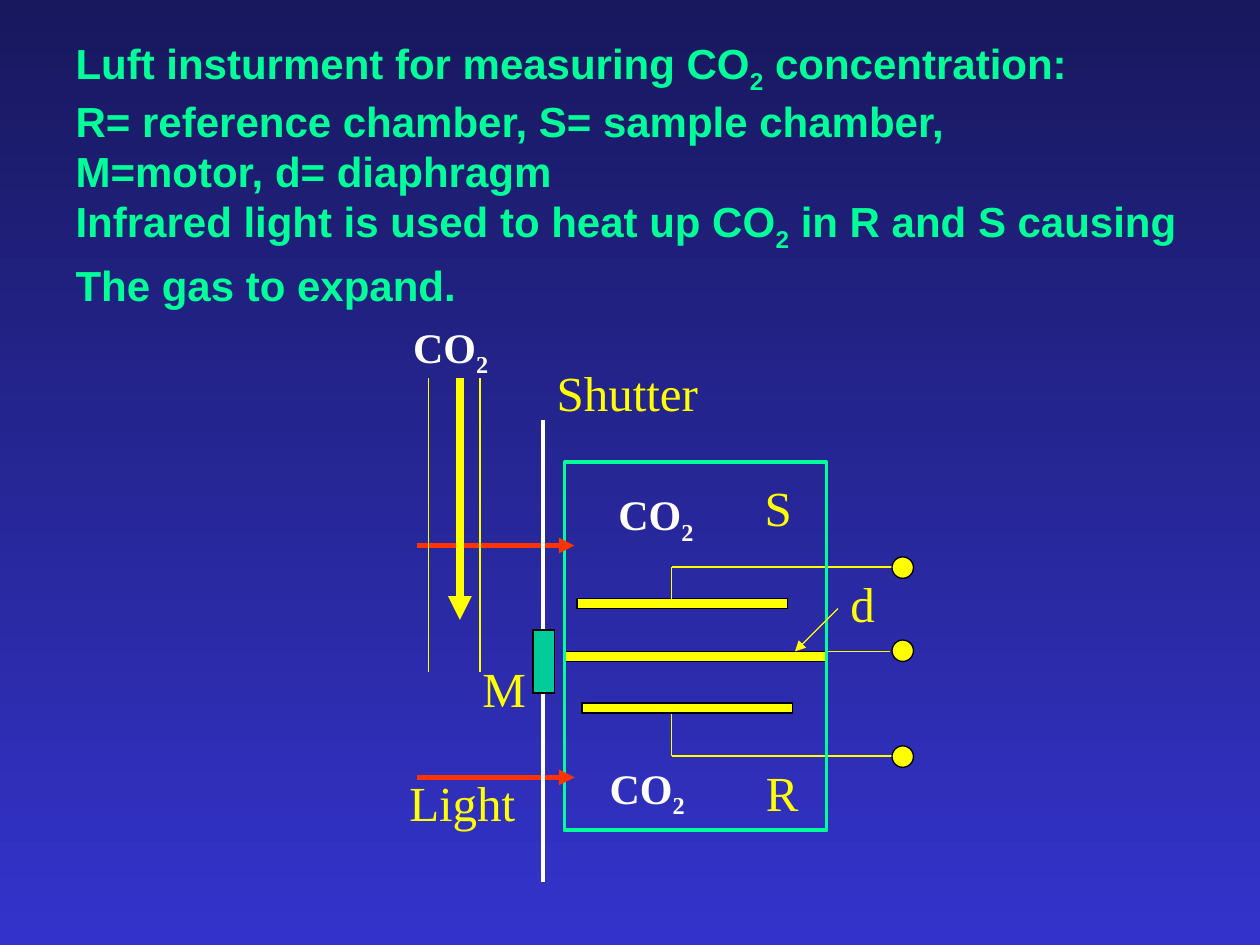
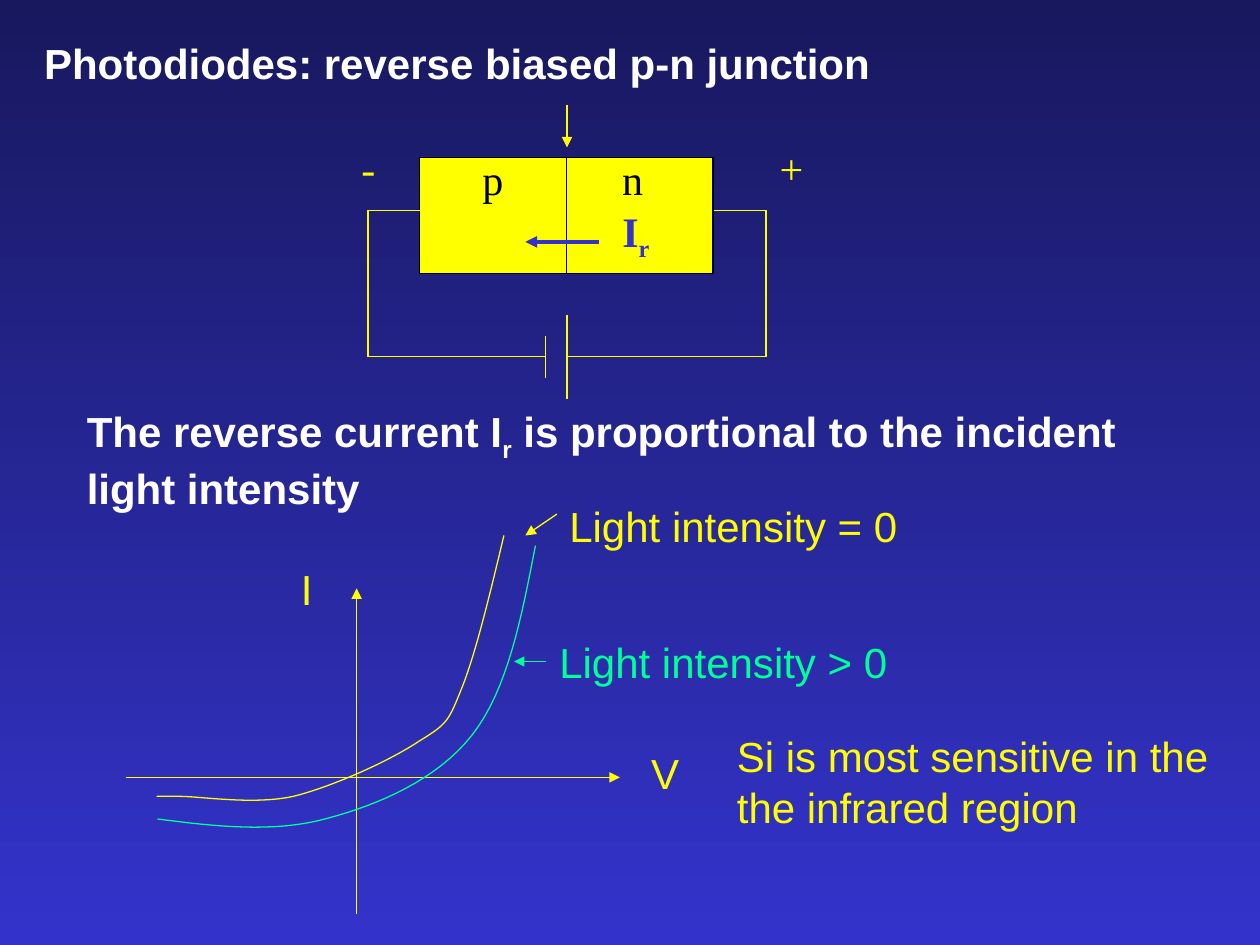
from itertools import pairwise

from lxml import etree
from pptx import Presentation
from pptx.dml.color import RGBColor
from pptx.enum.shapes import MSO_CONNECTOR, MSO_SHAPE
from pptx.enum.text import MSO_ANCHOR, MSO_AUTO_SIZE, PP_ALIGN
from pptx.oxml.ns import qn
from pptx.util import Inches, Pt

STRAIGHT = MSO_CONNECTOR.STRAIGHT
RECTANGLE, OVAL = MSO_SHAPE.RECTANGLE, MSO_SHAPE.OVAL
TOP, BOTTOM = 0, 2
TITLE_ONLY = 5
TEXT_SLACK = 0.08  # extra width that keeps every line of text unbroken

NAVY = RGBColor(0x18, 0x18, 0x5E)
BLUE = RGBColor(0x33, 0x33, 0xCC)
GREEN = RGBColor(0x00, 0xFF, 0x99)
TEAL = RGBColor(0x00, 0xCC, 0x99)
YELLOW = RGBColor(0xFF, 0xFF, 0x00)
RED = RGBColor(0xFF, 0x33, 0x00)
WHITE = RGBColor(0xFF, 0xFF, 0xFF)
BLACK = RGBColor(0x00, 0x00, 0x00)
SANS, SERIF = "Arial", "Times New Roman"

# Text between tildes is subscript. Boxes are left, top, width, height in inches.
LUFT_HEADING = [
    "Luft insturment for measuring CO~2~ concentration:",
    "R= reference chamber, S= sample chamber,",
    "M=motor, d= diaphragm",
    "Infrared light is used to heat up CO~2~ in R and S causing",
    "The gas to expand.",
]
GAS_LABEL_POSITIONS = [(4.81, 3.83), (4.74, 6), (3.18, 2.5)]
LUFT_LABELS = [
    ("S", 5.97, 3.74, 0.41),
    ("R", 5.98, 6, 0.46),
    ("d", 6.65, 4.5, 0.39),
    ("Light", 3.15, 6.08, 1.04),
    ("M", 3.73, 5.18, 0.54),
    ("Shutter", 4.32, 2.83, 1.32),
]
PLATES = [(4.58, 4.75, 1.67, 0.08), (4.62, 5.58, 1.67, 0.08), (4.48, 5.17, 2.08, 0.08)]
CHAMBER = (4.48, 3.67, 2.08, 2.92)
MOTOR = (4.23, 5, 0.17, 0.5)
TERMINAL_TOPS = [4.42, 5.08, 5.92]
LEADS = [
    [(5.33, 4.75), (5.33, 4.5), (7.17, 4.5)],
    [(5.33, 5.67), (5.33, 6), (7.17, 6)],
    [(6.56, 5.17), (7.06, 5.17)],
]
LIGHT_BEAM_HEIGHTS = [4.33, 6.17]
GAS_TUBE_SIDES = [3.4, 3.81]

DIODE_HEADING = ["Photodiodes: reverse biased p-n junction"]
DIODE = (3.33, 1.25, 2.33, 0.92)
CIRCUIT = [
    [(4.33, 2.67), (4.33, 3)],
    [(4.5, 2.5), (4.5, 3.17)],
    [(4.5, 2.83), (6.08, 2.83), (6.08, 1.67), (5.67, 1.67)],
    [(3.33, 1.67), (2.92, 1.67), (2.92, 2.83), (4.33, 2.83)],
]
DIODE_LABELS = [
    (["p"], (3.73, 1.17, 0.36, 0.5), SERIF, BLACK, False),
    (["n"], (4.84, 1.17, 0.36, 0.5), SERIF, BLACK, False),
    (["-"], (2.77, 1.08, 0.31, 0.5), SERIF, YELLOW, False),
    (["+"], (6.09, 1.08, 0.39, 0.5), SERIF, YELLOW, False),
    (["I~r~"], (4.84, 1.58, 0.41, 0.56), SERIF, BLUE, True),
    (["The reverse current I~r~ is proportional to the incident", "light intensity"],
     (0.59, 3.17, 8.37, 0.96), SANS, WHITE, True),
    (["V"], (5.07, 5.88, 0.42, 0.5), SANS, YELLOW, False),
    (["I"], (2.29, 4.42, 0.29, 0.5), SANS, YELLOW, False),
    (["Light intensity > 0"], (4.34, 5, 2.8, 0.5), SANS, GREEN, False),
    (["Light intensity = 0"], (4.42, 3.92, 2.8, 0.5), SANS, YELLOW, False),
    (["Si is most sensitive in the", "the infrared region"],
     (5.75, 5.75, 3.94, 0.9), SANS, YELLOW, False),
]
DIODE_ARROWS = [
    ((4.5, 0.83), (4.5, 1.17), YELLOW, 0.75),
    ((4.75, 1.92), (4.17, 1.92), BLUE, 2.25),
    ((1, 6.17), (4.92, 6.17), YELLOW, 0.75),
    ((2.83, 7.25), (2.83, 4.67), YELLOW, 0.75),
    ((4.42, 4.08), (4.17, 4.25), YELLOW, 0.75),
    ((4.33, 5.25), (4.08, 5.25), GREEN, 0.75),
]
# Each curve: start point, then Bezier segments of two controls and an end.
DARK_CURVE = [
    (1.25, 6.32),
    (1.24, 6.32), (1.24, 6.32), (1.42, 6.32),
    (1.6, 6.32), (2.01, 6.39), (2.33, 6.32),
    (2.65, 6.24), (3.11, 6.03), (3.33, 5.88),
    (3.56, 5.74), (3.56, 5.72), (3.67, 5.45),
    (3.78, 5.17), (3.89, 4.71), (4, 4.25),
]
LIT_CURVE = [
    (1.25, 6.5),
    (1.71, 6.56), (2.17, 6.61), (2.58, 6.5),
    (3, 6.39), (3.47, 6.19), (3.75, 5.83),
    (4.03, 5.47), (4.14, 4.9), (4.25, 4.33),
]


def inches(values):
    return [Inches(value) for value in values]


def write_text(shape, lines, box, font=SANS, size=24, color=YELLOW, bold=False):
    """Place a text shape at box and fill it with one paragraph per line."""
    left, top, width, height = box
    shape.left, shape.top, shape.width, shape.height = inches(
        (left, top, width + TEXT_SLACK, height))
    frame = shape.text_frame
    frame.word_wrap = True
    frame.auto_size = MSO_AUTO_SIZE.NONE
    frame.vertical_anchor = MSO_ANCHOR.TOP
    for index, line in enumerate(lines):
        paragraph = frame.add_paragraph() if index else frame.paragraphs[0]
        paragraph.alignment = PP_ALIGN.LEFT
        for part, text in enumerate(line.split("~")):
            if not text:
                continue
            run = paragraph.add_run()
            run.text = text
            run.font.name, run.font.size = font, Pt(size)
            run.font.bold, run.font.color.rgb = bold, color
            if part % 2:
                run.font._element.set("baseline", "-25000")


def add_label(slide, lines, box, **text_format):
    write_text(slide.shapes.add_textbox(*inches(box)), lines, box, **text_format)


def add_slide(presentation, heading, box, color):
    slide = presentation.slides.add_slide(presentation.slide_layouts[TITLE_ONLY])
    write_text(slide.shapes.title, heading, box, color=color, bold=True)
    return slide


def add_block(slide, box, kind=RECTANGLE, fill=YELLOW, line=BLACK, width=0.75):
    shape = slide.shapes.add_shape(kind, *inches(box))
    shape.shadow.inherit = False
    if fill is None:
        shape.fill.background()
    else:
        shape.fill.solid()
        shape.fill.fore_color.rgb = fill
    shape.line.color.rgb, shape.line.width = line, Pt(width)
    return shape


def add_line(slide, start, end, color=YELLOW, width=0.75, arrow=False):
    connector = slide.shapes.add_connector(STRAIGHT, *inches(start + end))
    connector.line.color.rgb, connector.line.width = color, Pt(width)
    properties = connector._element.spPr
    if arrow:
        etree.SubElement(properties.find(qn("a:ln")), qn("a:tailEnd"), type="triangle")
    etree.SubElement(properties, qn("a:effectLst"))
    return connector


def add_wires(slide, routes):
    for route in routes:
        for start, end in pairwise(route):
            add_line(slide, start, end)


def bezier_points(points, steps=16):
    """Sample a chain of cubic Bezier segments, leaving out its first point."""
    for first in range(0, len(points) - 1, 3):
        segment = points[first:first + 4]
        for step in range(1, steps + 1):
            t = step / steps
            weights = ((1 - t) ** 3, 3 * t * (1 - t) ** 2, 3 * t * t * (1 - t), t ** 3)
            yield tuple(Inches(sum(weight * point[axis] for weight, point in zip(weights, segment)))
                        for axis in (0, 1))


def add_curve(slide, points, color):
    builder = slide.shapes.build_freeform(*inches(points[0]))
    builder.add_line_segments(bezier_points(points), close=False)
    curve = builder.convert_to_shape()
    curve.shadow.inherit = False
    curve.fill.background()
    curve.line.color.rgb, curve.line.width = color, Pt(0.75)


def build_luft_slide(presentation):
    slide = add_slide(presentation, LUFT_HEADING, (0.5, 0.25, 9.03, 2.28), GREEN)
    slide.shapes.title.text_frame.paragraphs[-1].space_before = Pt(3.5)
    for plate in PLATES:
        add_block(slide, plate)
    add_wires(slide, LEADS)
    for top in TERMINAL_TOPS:
        add_block(slide, (7.08, top, 0.17, 0.17), OVAL)
    add_block(slide, CHAMBER, fill=None, line=GREEN, width=2.25)

    add_line(slide, (6.65, 4.83), (6.31, 5.17), arrow=True)
    for y in LIGHT_BEAM_HEIGHTS:
        add_line(slide, (3.31, y), (4.56, y), RED, 3, arrow=True)
    for x in GAS_TUBE_SIDES:
        add_line(slide, (x, 3), (x, 5.33))
    add_line(slide, (3.65, 3), (3.65, 4.92), width=4.5, arrow=True)
    add_line(slide, (4.31, 3.33), (4.31, 7), WHITE, 2.25)
    add_block(slide, MOTOR, fill=TEAL)

    for left, top in GAS_LABEL_POSITIONS:
        add_label(slide, ["CO~2~"], (left, top, 0.79, 0.56), font=SERIF, color=WHITE, bold=True)
    for text, left, top, width in LUFT_LABELS:
        add_label(slide, [text], (left, top, width, 0.57), font=SERIF, size=28)


def build_diode_slide(presentation):
    slide = add_slide(presentation, DIODE_HEADING, (0.25, 0.25, 6.75, 0.5), WHITE)
    diode = add_block(slide, DIODE)
    junction = add_line(slide, (4.5, 1.25), (4.5, 2.17), BLACK)
    junction.begin_connect(diode, TOP)
    junction.end_connect(diode, BOTTOM)
    add_wires(slide, CIRCUIT)
    for start, end, color, width in DIODE_ARROWS:
        add_line(slide, start, end, color, width, arrow=True)
    add_curve(slide, DARK_CURVE, YELLOW)
    add_curve(slide, LIT_CURVE, GREEN)
    for lines, box, font, color, bold in DIODE_LABELS:
        add_label(slide, lines, box, font=font, color=color, bold=bold)


def main():
    presentation = Presentation()
    presentation.slide_width, presentation.slide_height = Inches(10), Inches(7.5)
    background = presentation.slide_master.background.fill
    background.gradient()
    background.gradient_angle = 270
    for stop, color in zip(background.gradient_stops, (NAVY, BLUE)):
        stop.color.rgb = color
    build_luft_slide(presentation)
    build_diode_slide(presentation)
    presentation.save("out.pptx")


if __name__ == "__main__":
    main()
